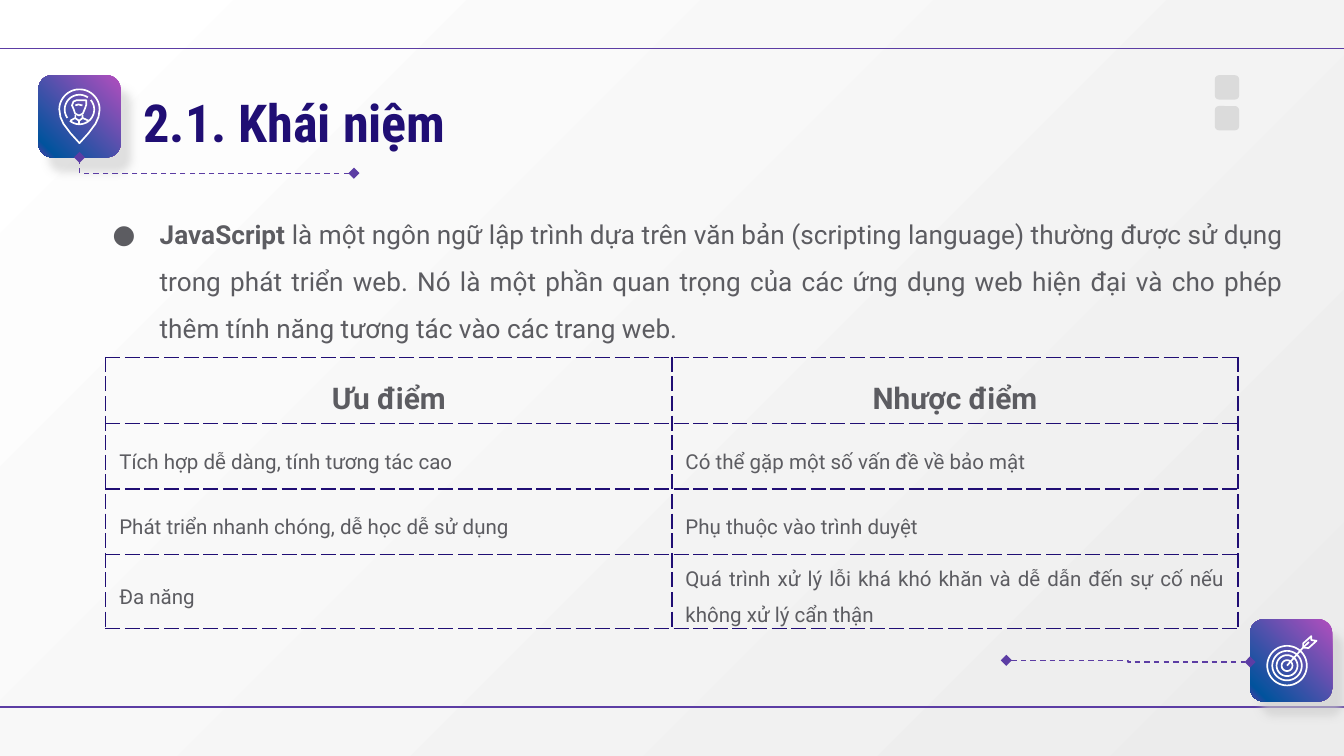
from copy import deepcopy
from math import cos, radians, sin

from lxml import etree
from pptx import Presentation
from pptx.dml.color import RGBColor
from pptx.enum import dml, shapes, text
from pptx.oxml import ns
from pptx.util import Pt

PURPLE, NAVY, GREY, WHITE = "5C3DA4", "200E74", "5C5C61", "FFFFFF"
WIDTH, HEIGHT = 720, 405
TILE = 44
TILE_STOPS = [(0, "B24EBE"), (0.89, "01539D"), (1, PURPLE)]
ROWS = [
    ("Ưu điểm", "Nhược điểm"),
    ("Tích hợp dễ dàng, tính tương tác cao", "Có thể gặp một số vấn đề về bảo mật"),
    ("Phát triển nhanh chóng, dễ học dễ sử dụng", "Phụ thuộc vào trình duyệt"),
    ("Đa năng", "Quá trình xử lý lỗi khá khó khăn và dễ dẫn đến sự cố nếu không xử lý cẩn thận"),
]


def color(value):
    return RGBColor.from_string(value)


def assign(target, **values):
    for name, value in values.items():
        setattr(target, name, value)


def add_node(parent, tag, **attributes):
    node = etree.SubElement(parent, ns.qn(tag))
    for name, value in attributes.items():
        node.set(name, str(value))
    return node


def paint_gradient(fill, element, angle, stops):
    fill.gradient()
    fill.gradient_angle = 360 - angle
    stop_list = next(element.iter(ns.qn("a:gsLst")))
    for _ in stops[2:]:
        stop_list.append(deepcopy(stop_list[0]))
    for stop, (position, value) in zip(fill.gradient_stops, stops):
        stop.position = position
        stop.color.rgb = color(value)


def add_span(para, words, size, value, font="Roboto", bold=False):
    span = para.add_run()
    span.text = words
    assign(span.font, size=Pt(size), name=font, bold=bold)
    span.font.color.rgb = color(value)


def add_text_frame(page, box, anchor):
    frame = page.shapes.add_textbox(*map(Pt, box)).text_frame
    assign(frame, word_wrap=True, vertical_anchor=anchor, margin_left=Pt(7.2),
           margin_right=Pt(7.2), margin_top=Pt(7.2), margin_bottom=Pt(7.2))
    return frame


def add_line(page, start, end, kind=shapes.MSO_CONNECTOR.STRAIGHT):
    line = page.shapes.add_connector(kind, *map(Pt, (*start, *end)))
    line.line.color.rgb = color(PURPLE)
    line.line.width = Pt(0.75)
    add_node(line._element.spPr, "a:effectLst")
    return line


def add_bend(page, box, preset, turn=0):
    """Dashed elbow between opposite corners of the box, diamonds at both ends."""
    left, top, width, height = box
    bend = add_line(page, (left, top), (left + width, top + height), shapes.MSO_CONNECTOR.ELBOW)
    bend.line.dash_style = dml.MSO_LINE.DASH
    properties = bend._element.spPr
    properties.find(ns.qn("a:prstGeom")).set("prst", preset)
    properties.find(ns.qn("a:xfrm")).set("rot", str(turn * 60000))
    for tag in ("a:headEnd", "a:tailEnd"):
        add_node(properties.find(ns.qn("a:ln")), tag, type="diamond")


def add_square(page, box):
    square = page.shapes.add_shape(shapes.MSO_SHAPE.ROUNDED_RECTANGLE, *map(Pt, box))
    square.shadow.inherit = False
    square.line.fill.background()
    return square


def add_tile(page, left, top):
    tile = add_square(page, (left, top, TILE, TILE))
    paint_gradient(tile.fill, tile._element, 135, TILE_STOPS)
    effects = tile._element.spPr.find(ns.qn("a:effectLst"))
    shadow = add_node(effects, "a:outerShdw", blurRad=Pt(4.5), dist=Pt(9.8),
                      dir=55 * 60000, algn="bl", rotWithShape=0)
    add_node(add_node(shadow, "a:srgbClr", val="CCCCCC"), "a:alpha", val=60000)


def arc(radius, start=0, end=360):
    return [(radius * cos(radians(a)), radius * sin(radians(a))) for a in range(start, end + 1, 5)]


def add_icon(page, center, contours):
    """One white outline; contour points are relative to the center."""
    def place(point):
        return tuple(Pt(origin + offset) for origin, offset in zip(center, point))

    builder = page.shapes.build_freeform(*place(contours[0][0]))
    for index, contour in enumerate(contours):
        points = [place(point) for point in contour]
        if index:
            builder.move_to(*points[0])
        builder.add_line_segments(points[1:], close=False)
    icon = builder.convert_to_shape()
    icon.shadow.inherit = False
    icon.fill.background()
    icon.line.color.rgb = color(WHITE)
    icon.line.width = Pt(0.9)


def add_pin_icon(page, left, top):
    side = [(10.2, 4), (8.6, 7.6), (4.9, 12.6)]
    pin = arc(10.8, 180, 360) + side + [(0, 18)] + [(-x, y) for x, y in side[::-1]] + [(-10.8, 0)]
    head = [(3.6, -5), (3.6, -2.4), (2.9, -0.4), (1.8, 2.2), (-0.2, 3.2), (-2.3, 2.2),
            (-3.2, -0.4), (-4, -2.2), (-3.2, -4.3), (-1.4, -5), (3.6, -5)]
    hair = [(-2.2, -2.2), (-0.6, -2.7), (1.6, -2.2)]
    shoulders = [[(-4.9, 6), (-2.2, 4.5), (-2.2, 3)], [(1.6, 3), (1.6, 4.5), (4.9, 6)]]
    collar = [(-2.2, 4.7), (-0.2, 6), (1.6, 4.7)]
    tie = [(-0.2, 6), (-0.2, 7.9)]
    add_icon(page, (left + 22, top + 18.4),
             [pin, arc(7.9, 145, 305), arc(7.9, 320, 490), head, hair, *shoulders, collar, tie])


def add_target_icon(page, left, top):
    rings = [arc(radius) for radius in (10.6, 7.9, 5.6, 2.9)]
    shaft = [(0, 0), (8.6, -9.7), (11.7, -12.6)]
    feathers = [(8.6, -9.7), (8.6, -11.9), (13, -15.8), (13, -13.7),
                (15.8, -13.3), (11.5, -9.4), (8.6, -9.7)]
    add_icon(page, (left + 19.8, top + 24.8), [*rings, shaft, feathers])


def add_backdrop(page):
    paint_gradient(page.background.fill, page._element, 45, [(0, WHITE), (1, "ECECEC")])
    for y in (25.9, 378.8):
        add_line(page, (0, y), (WIDTH, y))


def add_header(page, left, top):
    add_tile(page, left, top)
    add_bend(page, (left + 22, top + TILE, 147, 8.5), "bentConnector2", 180)
    add_pin_icon(page, left, top)
    # Two small squares at the right
    for row in range(2):
        square = add_square(page, (650.8, top + 16.5 * row, 13, 13))
        square.fill.solid()
        square.fill.fore_color.rgb = color("DBDBDB")
    frame = add_text_frame(page, (69.8, 38.9, 581, 50.4), text.MSO_ANCHOR.BOTTOM)
    add_span(frame.paragraphs[0], "2.1. Khái niệm", 28, NAVY, "Roboto Condensed", True)


def add_definition(page, box):
    para = add_text_frame(page, box, text.MSO_ANCHOR.TOP).paragraphs[0]
    assign(para, alignment=text.PP_ALIGN.JUSTIFY, line_spacing=1.5)
    properties = para._p.get_or_add_pPr()
    properties.set("marL", str(Pt(36)))
    properties.set("indent", str(Pt(-25.2)))
    add_node(add_node(properties, "a:buClr"), "a:srgbClr", val=GREY)
    add_node(properties, "a:buFont", typeface="Roboto")
    add_node(properties, "a:buChar", char="●")
    add_span(para, "JavaScript ", 14, GREY, bold=True)
    add_span(para, "là một ngôn ngữ lập trình dựa trên văn bản (scripting language) thường "
             "được sử dụng trong phát triển web. Nó là một phần quan trọng của các ứng dụng web "
             "hiện đại và cho phép thêm tính năng tương tác vào các trang web.", 14, GREY)


def add_comparison(page, box):
    table = page.shapes.add_table(len(ROWS), 2, *map(Pt, box)).table
    assign(table, first_row=False, horz_banding=False)
    for row, entries in enumerate(ROWS):
        for column, words in enumerate(entries):
            cell = table.cell(row, column)
            assign(cell, vertical_anchor=text.MSO_ANCHOR.MIDDLE, margin_left=Pt(7.2),
                   margin_right=Pt(7.2), margin_top=0, margin_bottom=0)
            for tag in ("a:lnL", "a:lnR", "a:lnT", "a:lnB"):
                border = add_node(cell._tc.get_or_add_tcPr(), tag, w=Pt(0.75))
                add_node(add_node(border, "a:solidFill"), "a:srgbClr", val=NAVY)
                add_node(border, "a:prstDash", val="dash")
            cell.fill.background()
            para = cell.text_frame.paragraphs[0]
            heading = row == 0
            align = text.PP_ALIGN.CENTER if heading else text.PP_ALIGN.JUSTIFY
            assign(para, alignment=align, line_spacing=1.5, space_after=Pt(16 * column))
            add_span(para, words, 16 if heading else 11, GREY, bold=heading)


def add_corner(page, left, top):
    add_tile(page, left, top)
    add_bend(page, (left - 130.6, top + 22, 130.6, 0.9), "bentConnector3")
    add_target_icon(page, left, top)


def main():
    deck = Presentation()
    assign(deck, slide_width=Pt(WIDTH), slide_height=Pt(HEIGHT))
    page = deck.slides.add_slide(deck.slide_layouts[6])
    add_backdrop(page)
    add_definition(page, (42.5, 101.5, 652.3, 93.6))
    add_header(page, 20.6, 40.3)
    add_comparison(page, (56.7, 191.5, 606.6, 141))
    add_corner(page, 669.7, 331.8)
    deck.save("out.pptx")


if __name__ == "__main__":
    main()
